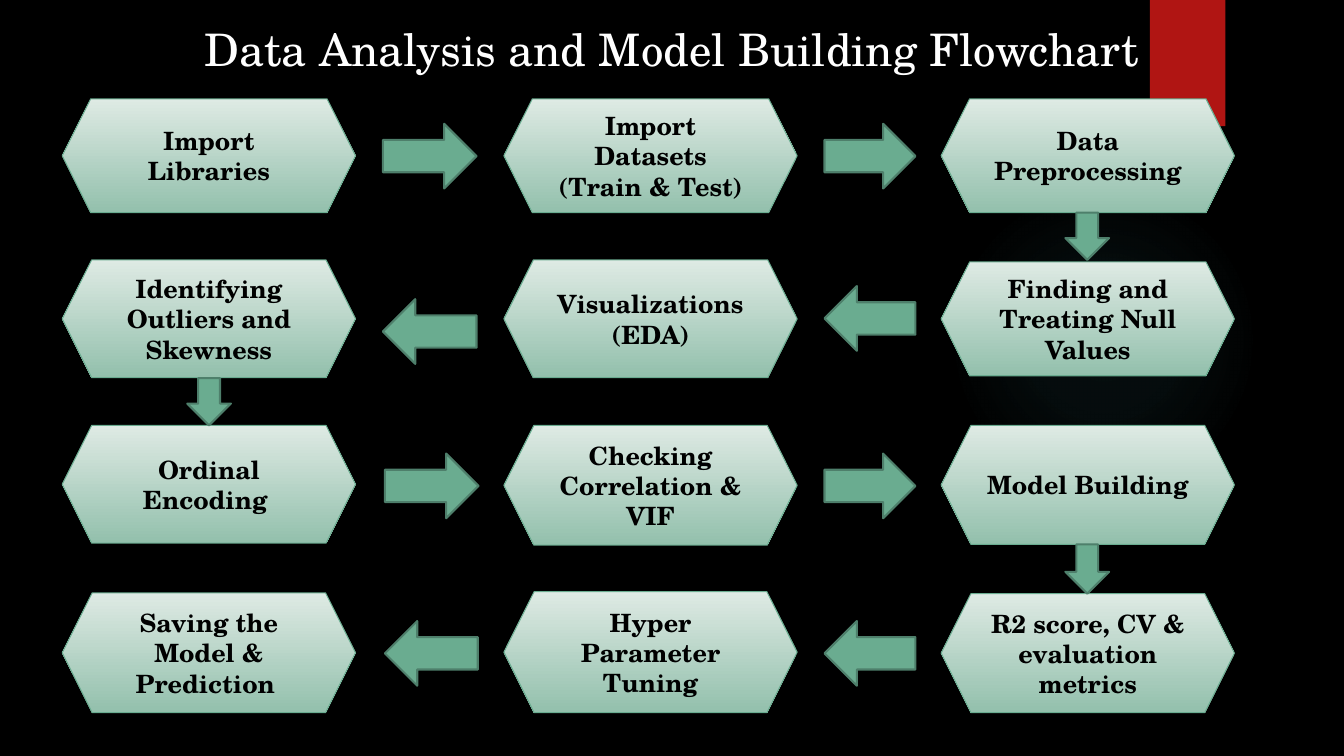
from dataclasses import dataclass

from lxml.etree import SubElement
from pptx import Presentation
from pptx.dml.color import RGBColor
from pptx.enum.shapes import MSO_SHAPE
from pptx.enum.text import MSO_ANCHOR, MSO_AUTO_SIZE, PP_ALIGN
from pptx.oxml.ns import qn
from pptx.shapes.autoshape import Shape
from pptx.slide import Slide
from pptx.text.text import TextFrame
from pptx.util import Cm, Pt

BLACK = RGBColor(0x00, 0x00, 0x00)
WHITE = RGBColor(0xFF, 0xFF, 0xFF)
RED = RGBColor(0xB0, 0x15, 0x13)
TEAL = RGBColor(0x50, 0xB9, 0xC1)
GREEN = RGBColor(0x6A, 0xAC, 0x90)
DARK_GREEN = RGBColor(0x4E, 0x7F, 0x6B)
PALE_GREEN = RGBColor(0xDE, 0xEA, 0xE4)
SOFT_GREEN = RGBColor(0x93, 0xC0, 0xAC)

FONT = "TeX Gyre Schola"
COLUMNS = (1.57, 12.7, 23.72)
STEP_WIDTH = 7.39
ARROW_HEIGHT = 1.63
DOWN_WIDTH = 1.1

RIGHT = MSO_SHAPE.RIGHT_ARROW
LEFT = MSO_SHAPE.LEFT_ARROW
DOWN = MSO_SHAPE.DOWN_ARROW


@dataclass(frozen=True)
class Step:
    text: str
    column: int
    top: float
    height: float


@dataclass(frozen=True)
class Arrow:
    kind: MSO_SHAPE
    left: float
    top: float
    width: float
    height: float = ARROW_HEIGHT


STEPS = (
    Step("Import Libraries", 0, 2.49, 2.87),
    Step("Import Datasets\n(Train & Test)", 1, 2.49, 2.87),
    Step("Data Preprocessing", 2, 2.49, 2.87),
    Step("Finding and Treating Null Values", 2, 6.6, 2.87),
    Step("Visualizations\n(EDA)", 1, 6.55, 2.97),
    Step("Identifying Outliers and Skewness", 0, 6.55, 2.97),
    Step("Ordinal Encoding ", 0, 10.72, 2.97),
    Step("Checking Correlation & VIF", 1, 10.72, 3.02),
    Step("Model Building", 2, 10.72, 3.0),
    Step("R2 score, CV & evaluation metrics", 2, 14.96, 3.0),
    Step("Hyper Parameter Tuning", 1, 14.91, 3.05),
    Step("Saving the Model & Prediction ", 0, 14.94, 3.02),
)

ARROWS = (
    Arrow(RIGHT, 9.65, 3.12, 2.36),
    Arrow(RIGHT, 20.78, 3.12, 2.29),
    Arrow(DOWN, 26.85, 5.36, DOWN_WIDTH, 1.19),
    Arrow(LEFT, 20.78, 7.21, 2.29),
    Arrow(LEFT, 9.65, 7.54, 2.36),
    Arrow(DOWN, 4.72, 9.53, DOWN_WIDTH, 1.19),
    Arrow(RIGHT, 9.7, 11.43, 2.36),
    Arrow(RIGHT, 20.78, 11.43, 2.29),
    Arrow(DOWN, 26.85, 13.72, DOWN_WIDTH, 1.24),
    Arrow(LEFT, 20.78, 15.65, 2.29),
    Arrow(LEFT, 9.7, 15.65, 2.34),
)


def write(tf: TextFrame, text: str, *, size: float, color: RGBColor, bold: bool = False) -> None:
    tf.word_wrap = True
    tf.vertical_anchor = MSO_ANCHOR.MIDDLE
    for i, line in enumerate(text.split("\n")):
        p = tf.add_paragraph() if i else tf.paragraphs[0]
        p.alignment = PP_ALIGN.CENTER
        r = p.add_run()
        r.text = line
        r.font.name = FONT
        r.font.size = Pt(size)
        r.font.bold = bold
        r.font.color.rgb = color


def add_plain(s: Slide, kind: MSO_SHAPE, left: float, top: float, width: float, height: float) -> Shape:
    sp = s.shapes.add_shape(kind, Cm(left), Cm(top), Cm(width), Cm(height))
    sp.shadow.inherit = False
    sp.line.fill.background()
    return sp


def add_glow(s: Slide) -> None:
    sp = add_plain(s, MSO_SHAPE.OVAL, 23.9, 4.65, 7.82, 7.82)
    sp.fill.gradient()
    grad = sp._element.spPr.find(qn("a:gradFill"))
    for child in list(grad):
        grad.remove(child)
    stops = SubElement(grad, qn("a:gsLst"))
    for position, opacity in ((0, 7), (36, 6), (69, 0)):
        stop = SubElement(stops, qn("a:gs"), pos=str(position * 1000))
        color = SubElement(stop, qn("a:srgbClr"), val=str(TEAL))
        SubElement(color, qn("a:alpha"), val=str(opacity * 1000))
    circle = SubElement(grad, qn("a:path"), attrib={"path": "circle"})
    SubElement(circle, qn("a:fillToRect"), l="50000", t="50000", r="50000", b="50000")


def add_ribbon(s: Slide) -> None:
    sp = add_plain(s, MSO_SHAPE.RECTANGLE, 28.98, 0, 1.9, 3.18)
    sp.fill.solid()
    sp.fill.fore_color.rgb = RED


def add_title(s: Slide, text: str, slide_width: int) -> None:
    sp = s.shapes.title
    sp.left, sp.top, sp.width, sp.height = 0, Cm(0.41), slide_width, Cm(1.63)
    sp.text_frame.auto_size = MSO_AUTO_SIZE.NONE
    write(sp.text_frame, text, size=32, color=WHITE)


def add_step(s: Slide, step: Step) -> None:
    sp = add_plain(s, MSO_SHAPE.HEXAGON, COLUMNS[step.column], step.top, STEP_WIDTH, step.height)
    sp.fill.gradient()
    sp.fill.gradient_angle = 270
    for stop, color in zip(sp.fill.gradient_stops, (PALE_GREEN, SOFT_GREEN)):
        stop.color.rgb = color
    sp.line.color.rgb = GREEN
    sp.line.width = Pt(0.75)
    write(sp.text_frame, step.text, size=18, color=BLACK, bold=True)


def add_arrow(s: Slide, arrow: Arrow) -> None:
    sp = add_plain(s, arrow.kind, arrow.left, arrow.top, arrow.width, arrow.height)
    sp.fill.solid()
    sp.fill.fore_color.rgb = GREEN
    sp.line.color.rgb = DARK_GREEN
    sp.line.width = Pt(1.5)


def main() -> None:
    prs = Presentation()
    prs.slide_width, prs.slide_height = Cm(33.87), Cm(19.05)
    s = prs.slides.add_slide(prs.slide_layouts.get_by_name("Title Only"))
    s.background.fill.solid()
    s.background.fill.fore_color.rgb = BLACK
    add_glow(s)
    add_ribbon(s)
    add_title(s, "Data Analysis and Model Building Flowchart", prs.slide_width)
    for step in STEPS:
        add_step(s, step)
    for arrow in ARROWS:
        add_arrow(s, arrow)
    prs.save("out.pptx")


if __name__ == "__main__":
    main()
